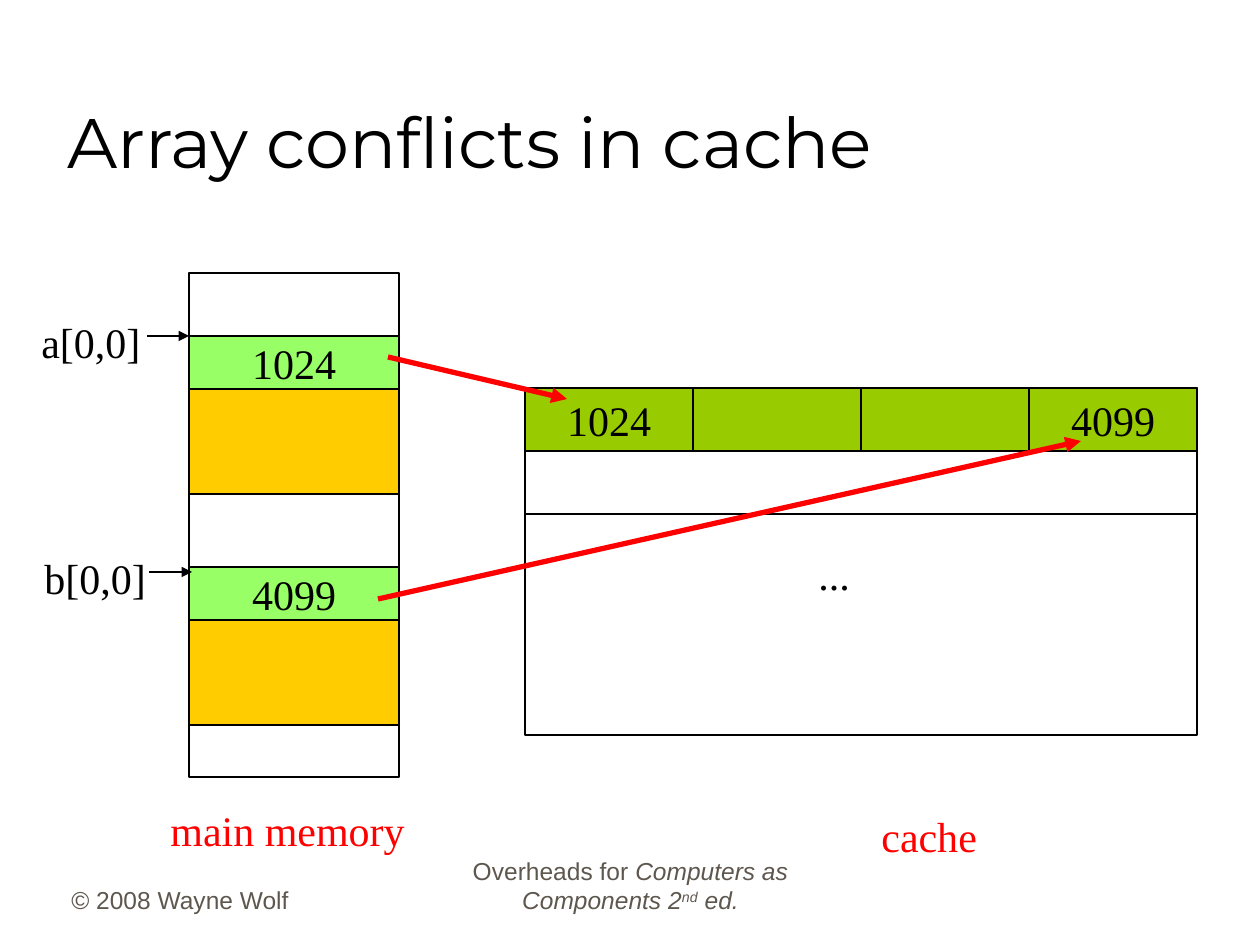
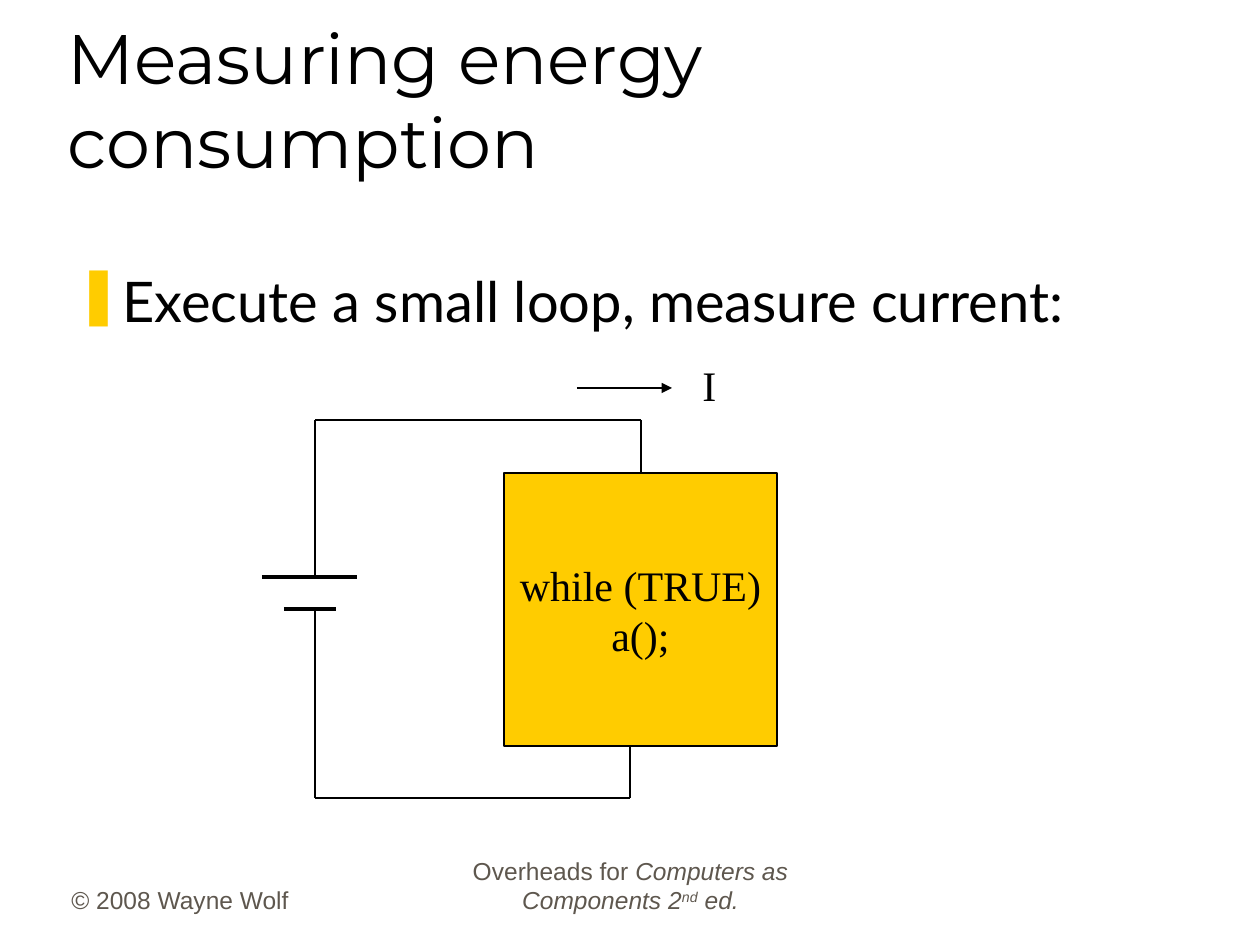
from dataclasses import dataclass
from itertools import pairwise

from lxml import etree
from pptx import Presentation
from pptx import util as u
from pptx.dml.color import RGBColor
from pptx.enum import shapes, text
from pptx.oxml import ns

SCALE = 914400 / 126
LINE_H = 63


@dataclass(frozen=True)
class Theme:
    """Colours, fonts and type sizes of the deck."""
    black: str = "000000"
    red: str = "FF0000"
    gold: str = "FFCC00"
    lime: str = "99FF66"
    olive: str = "99CC00"
    stone: str = "5E574E"
    head_font: str = "Montserrat"
    body_font: str = "Lato"
    foot_font: str = "Arial"
    art_font: str = "Times New Roman"
    head_size: int = 40
    body_size: int = 32
    art_size: int = 24
    foot_size: int = 14
    thin: float = 0.75
    plate: float = 2.25
    bold: float = 3


T = Theme()


@dataclass(frozen=True)
class Span:
    """A stretch of text with its own slant and baseline."""
    text: str
    slant: bool = False
    raised: bool = False


@dataclass(frozen=True)
class Box:
    """An outlined cell, with fill and text if given."""
    x: int
    y: int
    w: int
    h: int
    fill: str | None = None
    text: str = ""


@dataclass(frozen=True)
class Label:
    """A free line of text."""
    x: int
    y: int
    w: int
    text: str
    color: str = T.black


@dataclass(frozen=True)
class Wire:
    """A straight line, with an arrowhead at its end if asked."""
    start: tuple[int, int]
    end: tuple[int, int]
    color: str = T.black
    width: float = T.thin
    arrow: bool = False


BOOK = (Span("Overheads for "), Span("Computers as Components 2", True),
        Span("nd", True, True), Span(" ed.", True))


def px(count: int) -> u.Emu:
    """Turn pixels into EMU."""
    return u.Emu(round(count * SCALE))


def rgb(code: str) -> RGBColor:
    """Read a hex colour."""
    return RGBColor.from_string(code)


def write(frame, words, *, font=T.art_font, size=T.art_size, color=T.black,
          align=text.PP_ALIGN.LEFT, anchor=text.MSO_ANCHOR.TOP,
          wrap=False, bullet="") -> None:
    """Fill a text frame with a string or spans in one format."""
    frame.auto_size = text.MSO_AUTO_SIZE.NONE
    frame.word_wrap = wrap
    frame.vertical_anchor = anchor
    lines = [[Span(line)] for line in words.split("\n")] if isinstance(words, str) else [words]
    for rank, line in enumerate(lines):
        para = frame.add_paragraph() if rank else frame.paragraphs[0]
        para.alignment = align
        if bullet:
            add_mark(para, bullet)
        for span in line:
            run = para.add_run()
            run.text = span.text
            run.font.name = font
            run.font.size = u.Pt(size)
            run.font.color.rgb = rgb(color)
            if span.slant:
                run.font.italic = True
            if span.raised:
                run.font._element.set("baseline", "30000")


def add_mark(para, sign: str) -> None:
    """Give a paragraph a gold bullet and a hanging indent."""
    props = para._p.get_or_add_pPr()
    props.set("marL", str(px(47)))
    props.set("indent", str(-px(47)))
    tint = etree.SubElement(props, ns.qn("a:buClr"))
    etree.SubElement(tint, ns.qn("a:srgbClr"), val=T.gold)
    etree.SubElement(props, ns.qn("a:buChar"), char=sign)


def add_text(slide, x: int, y: int, w: int, h: int, words, **style) -> None:
    """Place a text box."""
    area = slide.shapes.add_textbox(px(x), px(y), px(w), px(h))
    write(area.text_frame, words, **style)


def draw_box(slide, box: Box) -> None:
    """Draw a cell."""
    cell = slide.shapes.add_shape(shapes.MSO_SHAPE.RECTANGLE,
                                  px(box.x), px(box.y), px(box.w), px(box.h))
    cell.shadow.inherit = False
    if box.fill:
        cell.fill.solid()
        cell.fill.fore_color.rgb = rgb(box.fill)
    else:
        cell.fill.background()
    cell.line.color.rgb = rgb(T.black)
    cell.line.width = u.Pt(T.thin)
    if box.text:
        write(cell.text_frame, box.text, align=text.PP_ALIGN.CENTER,
              anchor=text.MSO_ANCHOR.MIDDLE)


def draw_label(slide, label: Label) -> None:
    """Draw a label."""
    add_text(slide, label.x, label.y, label.w, LINE_H, label.text, color=label.color)


def draw_wire(slide, wire: Wire) -> None:
    """Draw a line or an arrow."""
    ends = [px(value) for value in (*wire.start, *wire.end)]
    line = slide.shapes.add_connector(shapes.MSO_CONNECTOR.STRAIGHT, *ends)
    line.line.color.rgb = rgb(wire.color)
    line.line.width = u.Pt(wire.width)
    if wire.arrow:
        etree.SubElement(line.line._get_or_add_ln(), ns.qn("a:tailEnd"), type="triangle")
    etree.SubElement(line._element.spPr, ns.qn("a:effectLst"))


PAINT = {Box: draw_box, Label: draw_label, Wire: draw_wire}


def draw(slide, parts) -> None:
    """Draw parts from back to front."""
    for part in parts:
        PAINT[type(part)](slide, part)


def add_slide(deck, title: str):
    """Add a slide with its title and footers."""
    slide = deck.slides.add_slide(deck.slide_layouts[5])
    foot = dict(font=T.foot_font, size=T.foot_size, color=T.stone,
                anchor=text.MSO_ANCHOR.BOTTOM, wrap=True)
    add_text(slide, 59, 858, 262, LINE_H, "© 2008 Wayne Wolf", **foot)
    add_text(slide, 431, 858, 399, LINE_H, BOOK, align=text.PP_ALIGN.CENTER, **foot)
    head = slide.shapes.title
    head.left, head.top, head.width, head.height = map(px, (55, 32, 1071, 157))
    write(head.text_frame, title, font=T.head_font, size=T.head_size,
          anchor=text.MSO_ANCHOR.BOTTOM, wrap=True)
    return slide


def show_cache(deck) -> None:
    """Build the slide on array conflicts."""
    slide = add_slide(deck, "Array conflicts in cache")
    left, wide = 189, 210
    draw(slide, [Box(left, 273, wide, 504)])
    for top, value in ((336, "1024"), (567, "4099")):
        draw(slide, [Box(left, top, wide, 158, T.gold),
                     Box(left, top, wide, 53, T.lime, value)])
    draw(slide, [
        Wire((147, 336), (189, 336), arrow=True),
        Label(29, 310, 125, "a[0,0]"),
        Wire((149, 572), (192, 572), arrow=True),
        Label(32, 546, 127, "b[0,0]"),
        Label(158, 798, 260, "main memory", T.red),
        Label(869, 804, 121, "cache", T.red),
    ])
    left, top, step = 525, 388, 168
    draw(slide, [Box(left, top, 4 * step, 347)])
    draw(slide, [Box(left + step * rank, top, step, LINE_H, T.olive, value)
                 for rank, value in enumerate(("1024", "", "", "4099"))])
    draw(slide, [
        Box(left, top + LINE_H, 4 * step, LINE_H),
        Label(806, 542, 57, "..."),
        Wire((388, 357), (567, 399), T.red, T.bold, True),
        Wire((378, 599), (1081, 441), T.red, T.bold, True),
    ])


def show_power(deck) -> None:
    """Build the slide on energy use."""
    slide = add_slide(deck, "Measuring energy consumption")
    add_text(slide, 63, 260, 1126, 97, "Execute a small loop, measure current:",
             font=T.body_font, size=T.body_size, wrap=True, bullet="❚")
    draw(slide, [
        Box(504, 473, 273, 273, T.gold, "while (TRUE)\na();"),
        Wire((262, 577), (357, 577), width=T.plate),
        Wire((284, 609), (336, 609), width=T.plate),
        Wire((577, 388), (672, 388), arrow=True),
        Label(690, 353, 39, "I"),
    ])
    upper = (315, 577), (315, 420), (641, 420), (641, 473)
    lower = (315, 609), (315, 798), (630, 798), (630, 746)
    for route in (upper, lower):
        draw(slide, [Wire(start, end) for start, end in pairwise(route)])


def main() -> None:
    """Build and save the deck."""
    deck = Presentation()
    deck.slide_width, deck.slide_height = px(1260), px(945)
    show_cache(deck)
    show_power(deck)
    deck.save("out.pptx")


if __name__ == "__main__":
    main()
